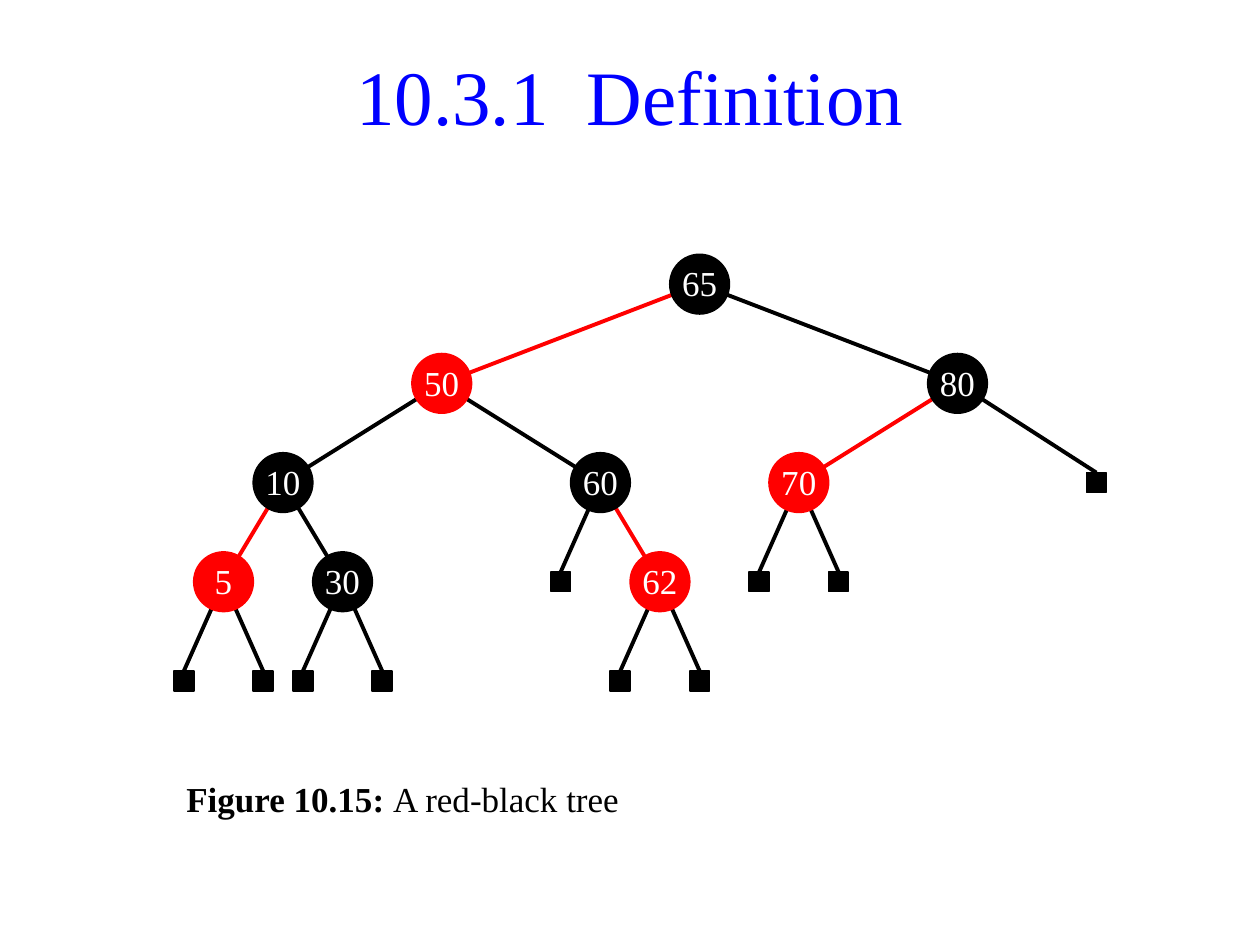
from dataclasses import dataclass

from lxml.etree import SubElement
from pptx import Presentation
from pptx.dml.color import RGBColor
from pptx.enum.shapes import MSO_CONNECTOR, MSO_SHAPE
from pptx.enum.text import MSO_ANCHOR, PP_ALIGN
from pptx.oxml.ns import qn
from pptx.util import Pt

BLACK = RGBColor(0, 0, 0)
RED = RGBColor(255, 0, 0)
BLUE = RGBColor(0, 0, 255)
WHITE = RGBColor(255, 255, 255)
FONT = "Times New Roman"
GRID_COLUMNS = 47
LEVEL_UNITS = 5
NODE_UNITS = 3


@dataclass
class Node:
    """A tree node on a grid column; a node without a label is a leaf."""
    column: int
    label: str = ""
    color: RGBColor = BLACK
    edge_color: RGBColor = BLACK
    children: tuple = ()


def leaf_pair(column):
    """Return the two leaves that hang evenly below a column."""
    return Node(column - 2), Node(column + 2)


TREE = Node(26, "65", children=(
    Node(13, "50", RED, RED, (
        Node(5, "10", children=(
            Node(2, "5", RED, RED, leaf_pair(2)),
            Node(8, "30", children=leaf_pair(8)))),
        Node(21, "60", children=(
            Node(19),
            Node(24, "62", RED, RED, leaf_pair(24)))))),
    Node(39, "80", children=(
        Node(31, "70", RED, RED, leaf_pair(31)),
        Node(46)))))


def style_font(font, size, color, bold=False):
    """Apply the slide's typeface with a size, colour and weight."""
    font.name = FONT
    font.size = Pt(size)
    font.color.rgb = color
    font.bold = bold


def add_title(slide, left, top, width, height):
    """Place and format the title."""
    title = slide.shapes.title
    title.left, title.top, title.width, title.height = map(Pt, (left, top, width, height))
    frame = title.text_frame
    frame.text = "10.3.1  Definition"
    frame.vertical_anchor = MSO_ANCHOR.MIDDLE
    heading = frame.paragraphs[0]
    heading.alignment = PP_ALIGN.CENTER
    style_font(heading.runs[0].font, 44, BLUE)


def add_edge(slide, start, end, color):
    """Draw a branch between two points."""
    edge = slide.shapes.add_connector(MSO_CONNECTOR.STRAIGHT, *map(Pt, start + end))
    edge.line.color.rgb = color
    edge.line.width = Pt(2.25)
    SubElement(edge._element.spPr, qn("a:effectLst"))


def add_node(slide, node, x, y, size):
    """Draw a labelled circle or a square leaf centred on a point."""
    outline = MSO_SHAPE.OVAL if node.label else MSO_SHAPE.RECTANGLE
    marker = slide.shapes.add_shape(
        outline, Pt(x - size / 2), Pt(y - size / 2), Pt(size), Pt(size))
    marker.shadow.inherit = False
    marker.fill.solid()
    marker.fill.fore_color.rgb = node.color
    marker.line.color.rgb = node.color
    marker.line.width = Pt(1)
    if node.label:
        frame = marker.text_frame
        frame.margin_left = frame.margin_right = frame.margin_top = 0
        frame.margin_bottom = Pt(0.72)
        frame.vertical_anchor = MSO_ANCHOR.BOTTOM
        frame.word_wrap = False
        frame.text = node.label
        frame.paragraphs[0].alignment = PP_ALIGN.CENTER
        style_font(frame.paragraphs[0].runs[0].font, 20, WHITE)


def add_tree(slide, root, left, top, width):
    """Draw the tree on a square grid that fills the box width."""
    unit = width / GRID_COLUMNS

    def center(node, level):
        """Return the centre of a node on a level."""
        return (left + (node.column + 0.5) * unit,
                top + (LEVEL_UNITS * level + NODE_UNITS / 2) * unit)

    def draw(node, level):
        """Draw the branches and subtrees, then the node above them."""
        x, y = center(node, level)
        for child in node.children:
            child_x, child_y = center(child, level + 1)
            end_y = child_y if child.label else child_y - unit / 2
            add_edge(slide, (x, y), (child_x, end_y), child.edge_color)
            draw(child, level + 1)
        add_node(slide, node, x, y, unit * (NODE_UNITS if node.label else 1))

    draw(root, 0)


def add_caption(slide, left, top, width, height):
    """Place the figure caption with its bold number."""
    caption = slide.shapes.add_textbox(*map(Pt, (left, top, width, height)))
    caption.text_frame.word_wrap = True
    line = caption.text_frame.paragraphs[0]
    for text, bold in (("Figure 10.15: ", True), ("A red-black tree", False)):
        run = line.add_run()
        run.text = text
        style_font(run.font, 20, BLACK, bold)


def main():
    """Build and save the slide."""
    deck = Presentation()
    deck.slide_width, deck.slide_height = Pt(720), Pt(540)
    slide = deck.slides.add_slide(deck.slide_layouts[5])
    add_title(slide, 31, 20, 658, 68)
    add_tree(slide, TREE, 99.4, 145.4, 532.8)
    add_caption(slide, 99.4, 441, 272, 34)
    deck.save("out.pptx")


if __name__ == "__main__":
    main()
